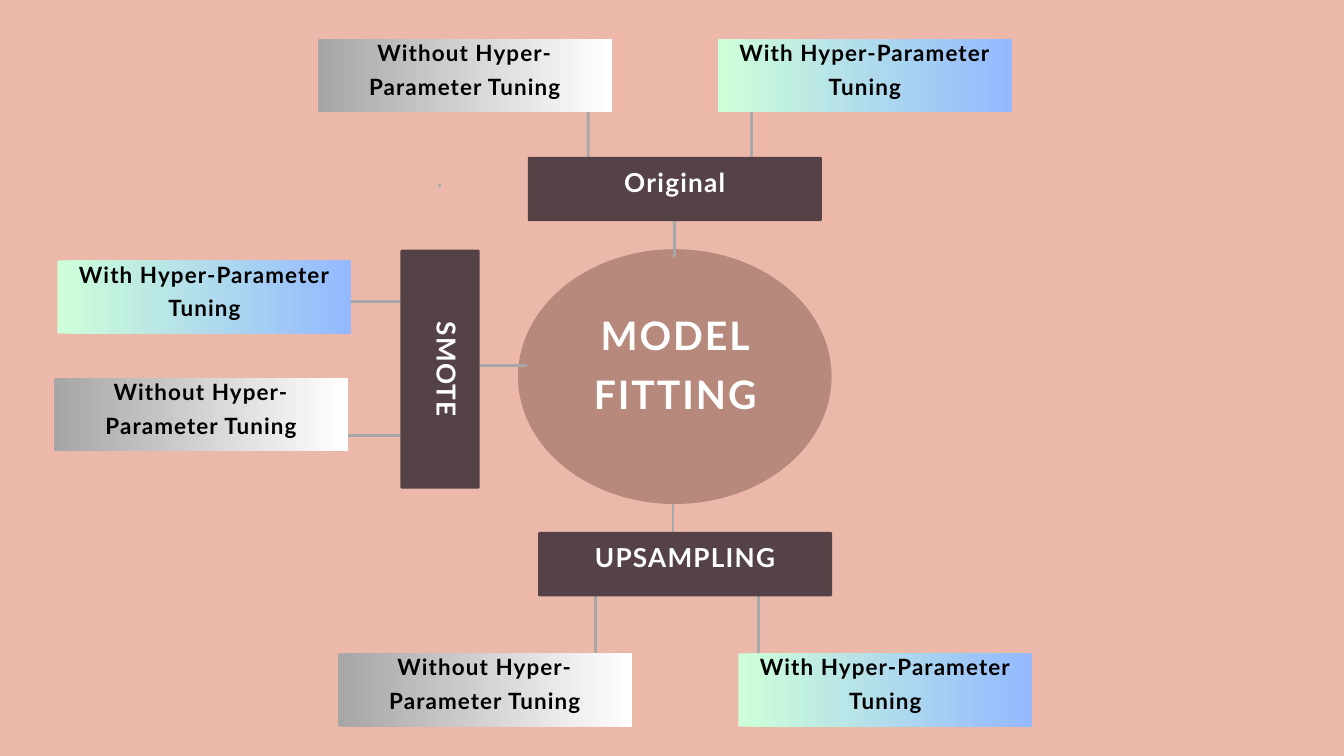
from dataclasses import dataclass
from math import cos, radians, sin

from lxml import etree
from pptx import Presentation
from pptx.dml.color import RGBColor
from pptx.enum.shapes import MSO_CONNECTOR, MSO_SHAPE
from pptx.enum.text import MSO_ANCHOR, PP_ALIGN
from pptx.oxml.ns import qn
from pptx.util import Pt

STRAIGHT = MSO_CONNECTOR.STRAIGHT
OVAL, ROUNDED = MSO_SHAPE.OVAL, MSO_SHAPE.ROUNDED_RECTANGLE
MIDDLE, CENTER = MSO_ANCHOR.MIDDLE, PP_ALIGN.CENTER


@dataclass(frozen=True)
class Theme:
    font: str = "Lato"
    background: str = "EBB8A9"
    hub: str = "B6897C"
    branch: str = "544246"
    link: str = "A8A8A8"
    light: str = "FFFFFF"
    dark: str = "000000"
    tuned: tuple = ("CDFFD8", "94B9FF")
    untuned: tuple = ("A6A6A6", "FFFFFF")
    hub_size: int = 42
    branch_size: int = 28
    option_size: int = 24
    link_width: int = 3
    corner: float = 1.8
    inset: int = 4


THEME = Theme()
WITH = ("With Hyper-Parameter Tuning", THEME.tuned)
WITHOUT = ("Without Hyper-Parameter Tuning", THEME.untuned)

OPTION_W, OPTION_H = 315, 78.5
BRANCH_W, BRANCH_H = 315, 69

# Text, left, top, width, height, rotation
BRANCHES = [
    ("SMOTE", 343.5, 353, 256, 85, 90),
    ("Original", 565.5, 168, BRANCH_W, BRANCH_H, 0),
    ("UPSAMPLING", 576.5, 570, BRANCH_W, BRANCH_H, 0),
]

# Option, left, top
OPTIONS = [
    (WITH, 769, 42), (WITHOUT, 340.5, 42),
    (WITH, 791, 700), (WITHOUT, 362, 700),
    (WITHOUT, 58, 405), (WITH, 61.5, 279),
]

# Start x, start y, end x, end y
LINKS = [
    (470, 200, 472, 197.5),
    # Hub to branches
    (721, 607, 721, 540), (482, 391.5, 565, 391.5), (723, 208, 723, 275),
    # Branches to options
    (813, 729, 813, 613), (638, 729, 638, 612),
    (373, 467, 479.5, 467), (373, 323, 479.5, 323),
    (630, 86, 630.5, 202), (805.5, 86, 805.5, 203),
]


def rgb(value):
    return RGBColor.from_string(value)


def set_values(target, values):
    for name, value in values.items():
        setattr(target, name, value)


def add_panel(slide, kind, left, top, width, height, color, rotation=0):
    """Draw a borderless shape; a pair of colours gives a gradient."""
    panel = slide.shapes.add_shape(kind, Pt(left), Pt(top), Pt(width), Pt(height))
    panel.shadow.inherit = False
    panel.rotation = rotation
    panel.line.fill.background()
    if kind == ROUNDED:
        panel.adjustments[0] = THEME.corner / min(width, height)
    if isinstance(color, tuple):
        panel.fill.gradient()
        panel.fill.gradient_angle = 0
        for stop, value in zip(panel.fill.gradient_stops, color):
            stop.color.rgb = rgb(value)
    else:
        panel.fill.solid()
        panel.fill.fore_color.rgb = rgb(color)


def add_label(slide, lines, left, top, width, height, size, color, rotation=0):
    """Write bold, centred lines with spacing in proportion to their size."""
    label = slide.shapes.add_textbox(Pt(left), Pt(top), Pt(width), Pt(height))
    label.rotation = rotation
    frame = label.text_frame
    margins = {f"margin_{side}": Pt(THEME.inset)
               for side in ("left", "top", "right", "bottom")}
    set_values(frame, {"word_wrap": True, "vertical_anchor": MIDDLE, **margins})
    for index, line in enumerate(lines):
        paragraph = frame.add_paragraph() if index else frame.paragraphs[0]
        set_values(paragraph, {"alignment": CENTER, "line_spacing": Pt(1.5 * size)})
        run = paragraph.add_run()
        run.text = line
        set_values(run.font, {"name": THEME.font, "size": Pt(size), "bold": True})
        run.font.color.rgb = rgb(color)
        run._r.get_or_add_rPr().set("spc", str(5 * size))


def add_box(slide, text, left, top, width, height, fill, size, color, lift, rotation=0):
    """Draw a panel whose label box reaches above it by the lift."""
    add_panel(slide, ROUNDED, left, top, width, height, fill, rotation)
    turn = radians(rotation)
    label_left = left + lift / 2 * sin(turn)
    label_top = top - lift / 2 * (1 + cos(turn))
    add_label(slide, [text], label_left, label_top, width, height + lift,
              size, color, rotation)


def add_link(slide, x1, y1, x2, y2):
    link = slide.shapes.add_connector(STRAIGHT, Pt(x1), Pt(y1), Pt(x2), Pt(y2))
    link.line.color.rgb = rgb(THEME.link)
    link.line.width = Pt(THEME.link_width)
    etree.SubElement(link._element.spPr, qn("a:effectLst"))


def main():
    deck = Presentation()
    set_values(deck, {"slide_width": Pt(1440), "slide_height": Pt(810)})
    slide = deck.slides.add_slide(deck.slide_layouts[6])
    slide.background.fill.solid()
    slide.background.fill.fore_color.rgb = rgb(THEME.background)

    # Central hub
    add_panel(slide, OVAL, 555, 267, 336, 273, THEME.hub)
    add_label(slide, ["MODEL", "FITTING"], 587, 254, 273, 260,
              THEME.hub_size, THEME.light)

    # Links, behind the boxes they reach
    for link in LINKS:
        add_link(slide, *link)

    # Data sets
    for text, left, top, width, height, rotation in BRANCHES:
        add_box(slide, text, left, top, width, height, THEME.branch,
                THEME.branch_size, THEME.light, 23.5, rotation)

    # Tuning options
    for (text, fill), left, top in OPTIONS:
        add_box(slide, text, left, top, OPTION_W, OPTION_H, fill,
                THEME.option_size, THEME.dark, 20.5)

    deck.save("out.pptx")


if __name__ == "__main__":
    main()
